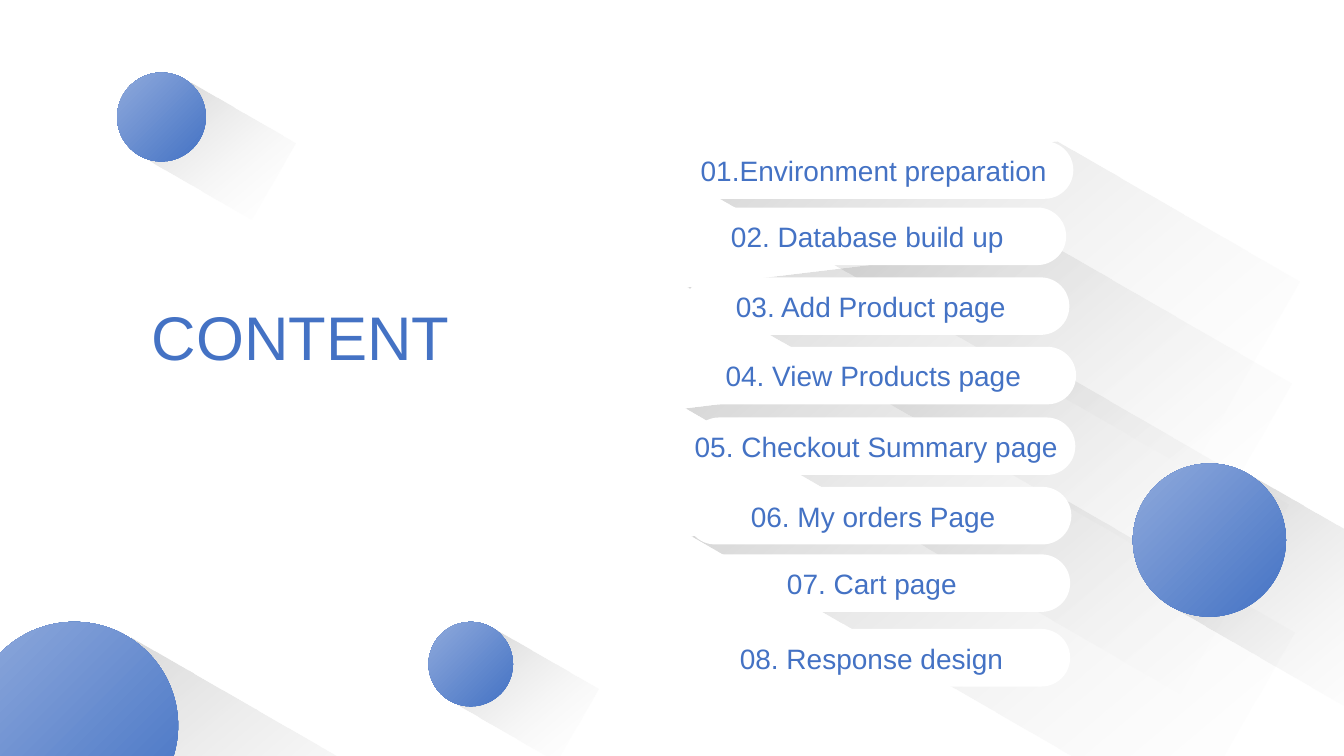
from dataclasses import dataclass

from lxml import etree
from pptx import Presentation
from pptx import util as u
from pptx.dml.color import RGBColor
from pptx.enum import shapes, text
from pptx.oxml import ns
from pptx.shapes.autoshape import Shape
from pptx.shapes.shapetree import GroupShapes, SlideShapes

BLUE = RGBColor(0x44, 0x72, 0xC4)
LIGHT_BLUE = RGBColor(0x8F, 0xAA, 0xDC)
BLACK = RGBColor(0, 0, 0)
PALE_GREY = RGBColor(0xF2, 0xF2, 0xF2)
WHITE = RGBColor(0xFF, 0xFF, 0xFF)

PILL_WIDTH, PILL_HEIGHT = 9.7, 1.45
LABEL_DROP, LABEL_HEIGHT = 0.18, 1.12
BAR_SHADOW_WIDTH, BAR_SHADOW_HEIGHT = 14.38, 5.51
BAR_SLANT, BALL_SLANT = 0.51, 0.02


@dataclass
class Ball:
    left: float
    top: float
    diameter: float


@dataclass
class Entry:
    caption: str
    left: float
    top: float
    label_left: float
    label_width: float


BAR_SHADOWS = [(17.96, 3.12), (17.75, 5.69), (17.68, 8.74), (17.83, 11.96)]

BALLS = [
    Ball(-0.74, 15.67, 5.23),
    Ball(2.95, 1.83, 2.24),
    Ball(10.8, 15.67, 2.13),
    Ball(28.55, 11.68, 3.86),
]

ENTRIES = [
    Entry("01.Environment preparation", 17.35, 3.56, 17.37, 9.3),
    Entry("02. Database build up", 17.17, 5.23, 18.14, 7.44),
    Entry("03. Add Product page", 17.25, 6.99, 18.26, 7.37),
    Entry("04. View Products page ", 17.42, 8.74, 18.01, 8.2),
    Entry("05. Checkout Summary page", 17.4, 10.52, 17.22, 9.73),
    Entry("06. My orders Page", 17.3, 12.27, 18.64, 6.73),
    Entry("07. Cart page", 17.27, 13.97, 19.56, 4.83),
    Entry("08. Response design", 17.27, 15.85, 18.36, 7.21),
]


def set_gradient(shape: Shape, colors: tuple[RGBColor, RGBColor], clockwise: int) -> None:
    shape.fill.gradient()
    shape.fill.gradient_angle = 360 - clockwise
    for stop, color, position in zip(shape.fill.gradient_stops, colors, (0, 1)):
        stop.color.rgb = color
        stop.position = position


def finish(shape: Shape) -> None:
    shape.line.fill.background()
    shape.shadow.inherit = False


def add_shadow(
    tree: SlideShapes | GroupShapes,
    left: float,
    top: float,
    width: float,
    height: float,
    slant: float,
) -> None:
    right, bottom = left + width, top + height
    corners = [(left + slant * width, top), (right, top), (right, bottom)]
    builder = tree.build_freeform(u.Cm(left), u.Cm(bottom))
    builder.add_line_segments([(u.Cm(x), u.Cm(y)) for x, y in corners], close=True)
    shadow = builder.convert_to_shape()
    shadow.rotation = 30
    set_gradient(shadow, (BLACK, PALE_GREY), 20)
    for color, opacity in zip(shadow.element.iter(ns.qn("a:srgbClr")), (20000, 0)):
        etree.SubElement(color, ns.qn("a:alpha")).set("val", str(opacity))
    finish(shadow)


def add_ball(tree: SlideShapes, ball: Ball) -> None:
    group = tree.add_group_shape().shapes
    size = ball.diameter
    add_shadow(
        group,
        ball.left + 0.4 * size,
        ball.top + 0.36 * size,
        1.46 * size,
        size,
        BALL_SLANT,
    )
    circle = group.add_shape(
        shapes.MSO_SHAPE.OVAL, u.Cm(ball.left), u.Cm(ball.top), u.Cm(size), u.Cm(size)
    )
    set_gradient(circle, (BLUE, LIGHT_BLUE), 225)
    finish(circle)


def add_text(
    tree: SlideShapes | GroupShapes,
    caption: str,
    box: tuple[float, float, float, float],
    size: int,
    alignment: text.PP_ALIGN,
) -> None:
    frame = tree.add_textbox(*(u.Cm(length) for length in box)).text_frame
    frame.word_wrap = False
    frame.auto_size = text.MSO_AUTO_SIZE.SHAPE_TO_FIT_TEXT
    paragraph = frame.paragraphs[0]
    paragraph.alignment = alignment
    run = paragraph.add_run()
    run.text = caption
    for name, value in {"name": "Arial", "size": u.Pt(size)}.items():
        setattr(run.font, name, value)
    run.font.color.rgb = BLUE


def add_entry(tree: SlideShapes, entry: Entry) -> None:
    group = tree.add_group_shape().shapes
    pill = group.add_shape(
        shapes.MSO_SHAPE.ROUNDED_RECTANGLE,
        u.Cm(entry.left),
        u.Cm(entry.top),
        u.Cm(PILL_WIDTH),
        u.Cm(PILL_HEIGHT),
    )
    pill.adjustments[0] = 0.5
    pill.fill.solid()
    pill.fill.fore_color.rgb = WHITE
    finish(pill)
    label_box = (entry.label_left, entry.top + LABEL_DROP, entry.label_width, LABEL_HEIGHT)
    add_text(group, entry.caption, label_box, 20, text.PP_ALIGN.CENTER)


def main() -> None:
    presentation = Presentation()
    presentation.slide_width = u.Cm(33.87)
    presentation.slide_height = u.Cm(19.05)
    slide = presentation.slides.add_slide(presentation.slide_layouts[6])
    tree = slide.shapes
    for left, top in BAR_SHADOWS:
        add_shadow(tree, left, top, BAR_SHADOW_WIDTH, BAR_SHADOW_HEIGHT, BAR_SLANT)
    for ball in BALLS:
        add_ball(tree, ball)
    add_text(tree, "CONTENT", (3.58, 7.42, 8.08, 2.13), 44, text.PP_ALIGN.LEFT)
    for entry in ENTRIES:
        add_entry(tree, entry)
    presentation.save("out.pptx")


if __name__ == "__main__":
    main()
